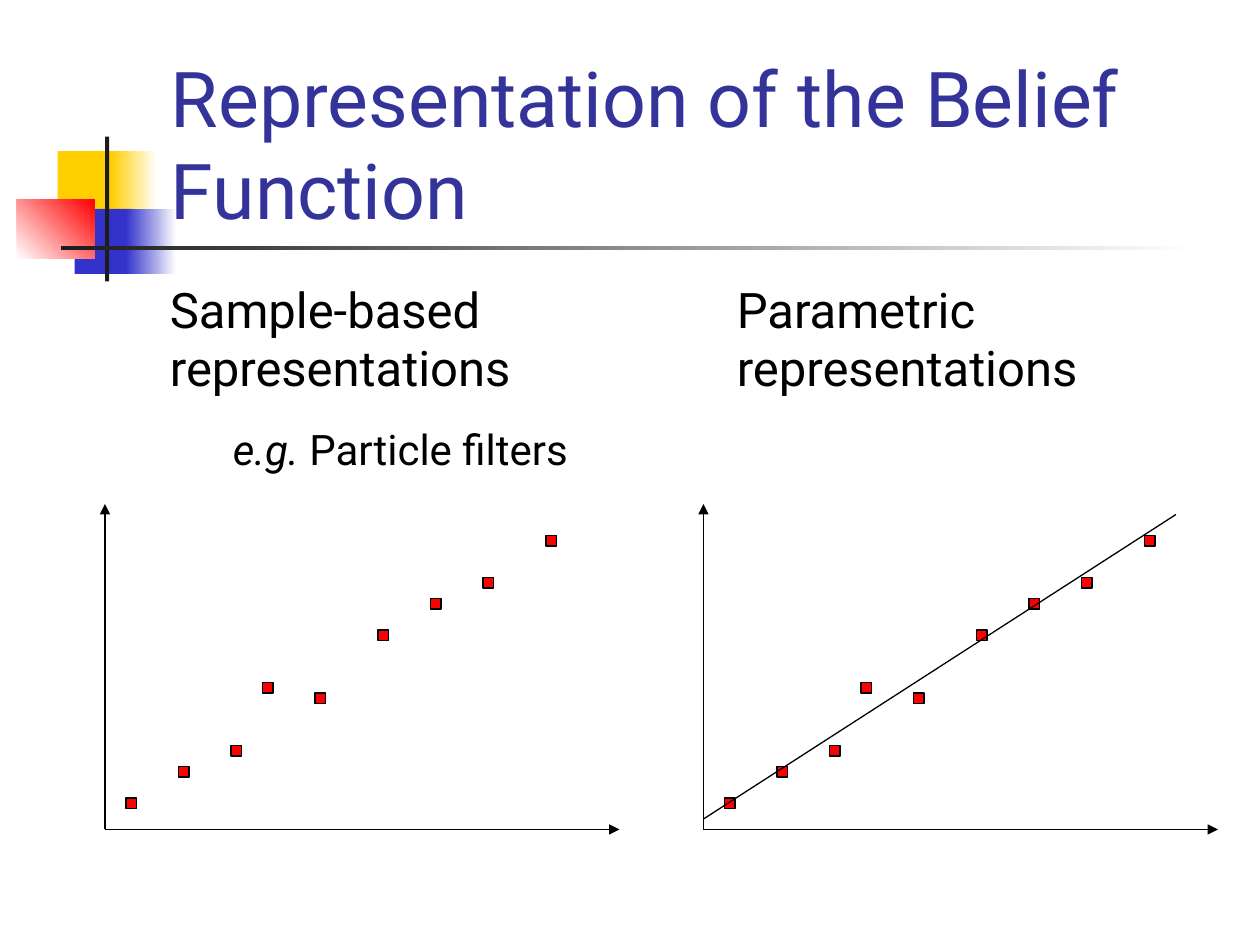
from dataclasses import dataclass

from lxml.etree import SubElement
from pptx import Presentation
from pptx.dml.color import RGBColor
from pptx.enum.shapes import MSO_CONNECTOR, MSO_SHAPE
from pptx.enum.text import MSO_ANCHOR, MSO_AUTO_SIZE
from pptx.oxml.ns import qn
from pptx.util import Pt

PX = 7620  # 120 px to the inch


@dataclass(frozen=True)
class Theme:
    font: str = "Roboto"
    title: str = "333399"
    ink: str = "000000"
    paper: str = "FFFFFF"
    bar: str = "1C1C1C"
    yellow: str = "FFCF01"
    blue: str = "3333CC"
    red: str = "FF0000"
    title_size: int = 44
    body_size: int = 28
    example_size: int = 24
    line_width: float = 0.75


THEME = Theme()

# Content: box, then paragraphs of (size, indent px, space before pt, runs of (text, italic))
TITLE = [(THEME.title_size, 0, 0, [("Representation of the Belief Function", False)])]
PARAMETRIC = [(THEME.body_size, 0, 0, [("Parametric representations", False)])]
SAMPLE_BASED = [
    (THEME.body_size, 0, 0, [("Sample-based representations", False)]),
    (THEME.example_size, 60, 15, [("e.g.", True), (" Particle filters", False)]),
]

# Ornament: box, colours (one is solid, two a gradient), gradient angle
ORNAMENT = [
    ((55, 144, 58, 62), (THEME.yellow,), 0),
    ((106, 144, 43, 62), (THEME.yellow, THEME.paper), 0),
    ((71, 199, 55, 62), (THEME.blue,), 0),
    ((120, 199, 48, 62), (THEME.blue, THEME.paper), 0),
    ((16, 190, 74, 56), (THEME.paper, THEME.red), 45),
    ((100, 130, 4, 138), (THEME.bar,), 0),
    ((58, 234, 1080, 4), (THEME.bar, THEME.paper), 0),
]

# Plots: everything is measured right and up from the origin
SAMPLE_ORIGIN, PARAMETRIC_ORIGIN = (100, 790), (670, 790)
AXIS_ENDS = [(0, 310), (490, 0)]
SAMPLES = [(25, 25), (75, 55), (125, 75), (155, 135), (205, 125),
           (265, 185), (315, 215), (365, 235), (425, 275)]
MARKER = 10
FIT = ((0, 10), (450, 300))


def rgb(colour):
    return RGBColor.from_string(colour)


def add_rect(shapes, box, colours, angle=0, outline=None):
    rect = shapes.add_shape(MSO_SHAPE.RECTANGLE, *(v * PX for v in box))
    rect.shadow.inherit = False
    if len(colours) == 1:
        rect.fill.solid()
        rect.fill.fore_color.rgb = rgb(colours[0])
    else:
        rect.fill.gradient()
        rect.fill.gradient_angle = angle
        for stop, colour in zip(rect.fill.gradient_stops, colours):
            stop.color.rgb = rgb(colour)
    if outline:
        rect.line.color.rgb = rgb(outline)
        rect.line.width = Pt(THEME.line_width)
    else:
        rect.line.fill.background()


def add_line(shapes, start, end, arrow=False):
    line = shapes.add_connector(MSO_CONNECTOR.STRAIGHT, *(v * PX for v in (*start, *end)))
    line.line.color.rgb = rgb(THEME.ink)
    line.line.width = Pt(THEME.line_width)
    if arrow:
        SubElement(line.line._get_or_add_ln(), qn("a:tailEnd"), type="triangle")
    SubElement(line._element.spPr, qn("a:effectLst"))


def add_text(shapes, box, paragraphs, colour, anchor=MSO_ANCHOR.TOP,
             fit=MSO_AUTO_SIZE.SHAPE_TO_FIT_TEXT):
    frame = shapes.add_textbox(*(v * PX for v in box)).text_frame
    frame.word_wrap = True
    frame.auto_size = fit
    frame.vertical_anchor = anchor
    for i, (size, indent, before, runs) in enumerate(paragraphs):
        paragraph = frame.add_paragraph() if i else frame.paragraphs[0]
        if indent:
            paragraph._p.get_or_add_pPr().set("marL", str(indent * PX))
        if before:
            paragraph.space_before = Pt(before)
        for text, italic in runs:
            run = paragraph.add_run()
            run.text = text
            run.font.name = THEME.font
            run.font.size = Pt(size)
            run.font.italic = italic
            run.font.color.rgb = rgb(colour)


def add_plot(shapes, origin, fit=None):
    def place(point):
        return origin[0] + point[0], origin[1] - point[1]

    for end in AXIS_ENDS:
        add_line(shapes, origin, place(end), arrow=True)
    for sample in SAMPLES:
        x, y = place(sample)
        box = (x - MARKER // 2, y - MARKER // 2, MARKER, MARKER)
        add_rect(shapes, box, (THEME.red,), outline=THEME.ink)
    if fit:
        add_line(shapes, *map(place, fit))


def main():
    deck = Presentation()
    deck.slide_width, deck.slide_height = 1200 * PX, 900 * PX
    slide = deck.slides.add_slide(deck.slide_layouts[6])
    shapes = slide.shapes

    # Ornament and title
    for box, colours, angle in ORNAMENT:
        add_rect(shapes, box, colours, angle)
    add_text(shapes, (151, 80, 1022, 150), TITLE, THEME.title,
             MSO_ANCHOR.BOTTOM, MSO_AUTO_SIZE.NONE)

    # Plots
    add_plot(shapes, SAMPLE_ORIGIN)
    add_plot(shapes.add_group_shape().shapes, PARAMETRIC_ORIGIN, FIT)

    # Column headings
    add_text(shapes, (690, 260, 350, 180), PARAMETRIC, THEME.ink)
    add_text(shapes, (150, 260, 440, 197), SAMPLE_BASED, THEME.ink)

    deck.save("out.pptx")


if __name__ == "__main__":
    main()
